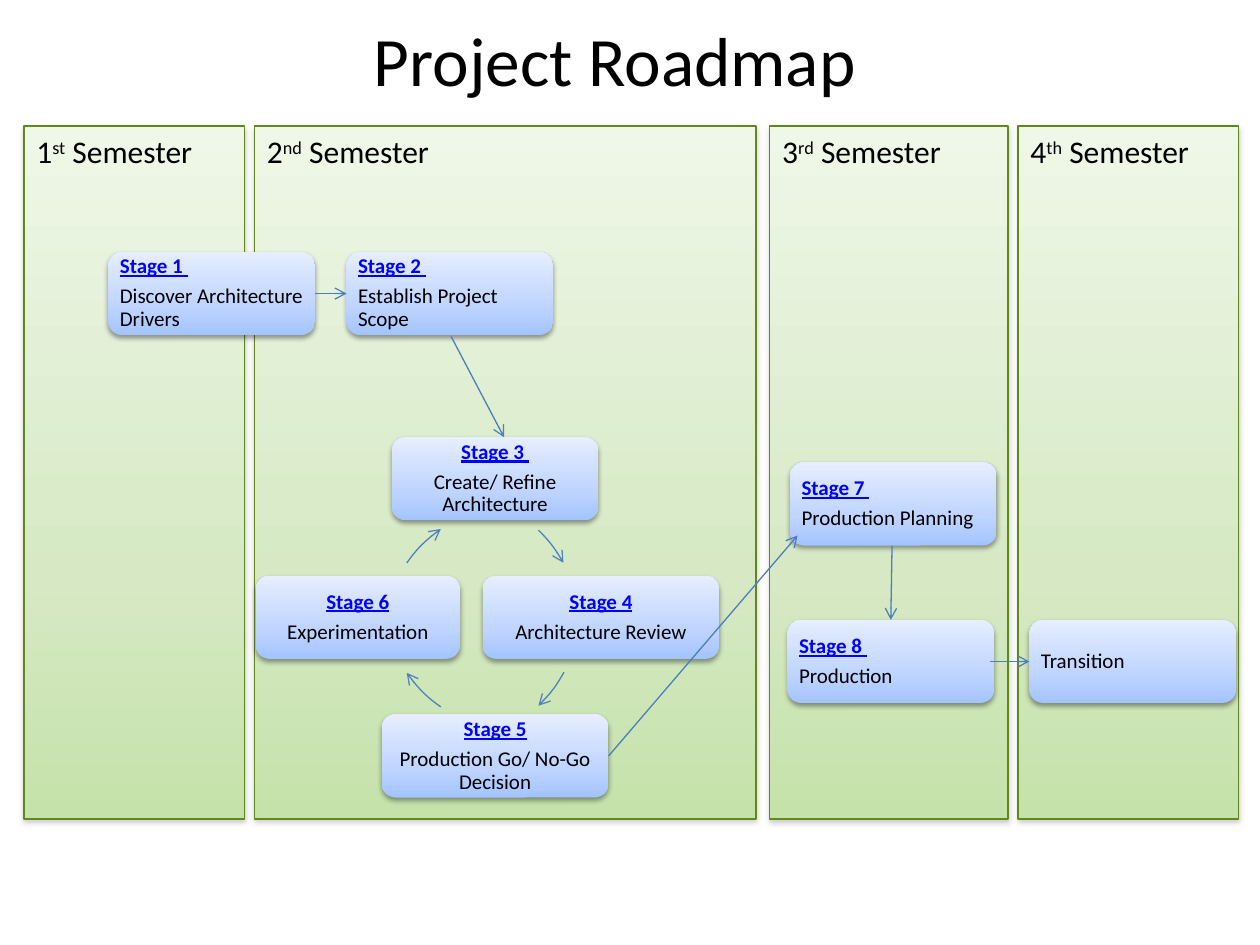
"""Builds the project roadmap slide: four semesters, their stages and the flow between them."""
from lxml.etree import SubElement
from pptx import Presentation
from pptx.dml.color import RGBColor
from pptx.enum.shapes import MSO_CONNECTOR, MSO_SHAPE
from pptx.enum.text import MSO_ANCHOR, PP_ALIGN
from pptx.oxml import parse_xml
from pptx.oxml.ns import nsdecls, qn
from pptx.util import Inches, Pt

COLORS = {
    "text": "000000", "stage_name": "0000FF", "panel_line": "61881B",
    "arrow": "4B7EBC", "cycle_arrow": "4F81BD",
}
PANEL_STOPS = [(0, "EFF7E8"), (65, "D6E9C4"), (100, "C5E2AA")]
STAGE_STOPS = [(0, "A4C4FF"), (35, "BFD4FF"), (100, "E6EEFF")]


def add_gradient_and_shadow(shape, stops, angle, shadow_color):
    stop_xml = "".join(
        f'<a:gs pos="{position * 1000}"><a:srgbClr val="{color}"/></a:gs>'
        for position, color in stops)
    properties = shape._element.spPr
    properties.insert(2, parse_xml(
        f'<a:gradFill {nsdecls("a")} rotWithShape="1"><a:gsLst>{stop_xml}</a:gsLst>'
        f'<a:lin ang="{angle * 60000}" scaled="0"/></a:gradFill>'))
    shape.shadow.inherit = False
    properties.find(qn("a:effectLst")).append(parse_xml(
        f'<a:outerShdw {nsdecls("a")} blurRad="{Pt(3.1)}" dist="{Pt(1.6)}" dir="5400000" '
        f'rotWithShape="0"><a:srgbClr val="{shadow_color}"><a:alpha val="38000"/>'
        '</a:srgbClr></a:outerShdw>'))


def style_arrow(arrow, color):
    arrow.line.color.rgb = RGBColor.from_string(COLORS[color])
    arrow.line.width = Pt(0.75)
    SubElement(arrow.line._get_or_add_ln(), qn("a:tailEnd"), type="arrow")


presentation = Presentation()
presentation.slide_width = Inches(10)
presentation.slide_height = Inches(7.5)
slide = presentation.slides.add_slide(presentation.slide_layouts[6])
shapes = slide.shapes

semesters = [
    (0.19, 1.75, "1", "st"),
    (2.02, 3.98, "2", "nd"),
    (6.11, 1.89, "3", "rd"),
    (8.08, 1.75, "4", "th"),
]
for left, width, number, suffix in semesters:
    panel = shapes.add_shape(
        MSO_SHAPE.RECTANGLE, Inches(left), Inches(1), Inches(width), Inches(5.5))
    panel.line.color.rgb = RGBColor.from_string(COLORS["panel_line"])
    panel.line.width = Pt(0.75)
    add_gradient_and_shadow(panel, PANEL_STOPS, 90, "808080")
    panel.text_frame.vertical_anchor = MSO_ANCHOR.TOP
    paragraph = panel.text_frame.paragraphs[0]
    paragraph.alignment = PP_ALIGN.LEFT
    paragraph.font.size = Pt(18)
    paragraph.font.name = "Calibri"
    paragraph.font.color.rgb = RGBColor.from_string(COLORS["text"])
    for text in (number, suffix, " Semester"):
        run = paragraph.add_run()
        run.text = text
        if text == suffix:
            run.font._element.set("baseline", "30000")

stages = [
    (0.86, 2, 1.64, "Stage 1 ", "Discover Architecture Drivers", PP_ALIGN.LEFT),
    (2.75, 2, 1.64, "Stage 2 ", "Establish Project Scope", PP_ALIGN.LEFT),
    (3.11, 3.47, 1.64, "Stage 3 ", "Create/ Refine Architecture", PP_ALIGN.CENTER),
    (3.83, 4.57, 1.88, "Stage 4", "Architecture Review", PP_ALIGN.CENTER),
    (3.03, 5.67, 1.8, "Stage 5", "Production Go/ No-Go Decision", PP_ALIGN.CENTER),
    (2.03, 4.57, 1.62, "Stage 6", "Experimentation", PP_ALIGN.CENTER),
    (6.27, 3.67, 1.64, "Stage 7 ", "Production Planning", PP_ALIGN.LEFT),
    (6.25, 4.92, 1.64, "Stage 8 ", "Production", PP_ALIGN.LEFT),
    (8.17, 4.92, 1.64, None, "Transition", PP_ALIGN.LEFT),
]
for left, top, width, name, task, alignment in stages:
    stage = shapes.add_shape(
        MSO_SHAPE.ROUNDED_RECTANGLE, Inches(left), Inches(top), Inches(width), Inches(0.66))
    stage.line.fill.background()
    add_gradient_and_shadow(stage, STAGE_STOPS, 270, "000000")
    frame = stage.text_frame
    frame.vertical_anchor = MSO_ANCHOR.MIDDLE
    frame.margin_left = frame.margin_right = Inches(0.06)
    frame.margin_top = frame.margin_bottom = Inches(0.05)
    frame.text = f"{name}\n{task}" if name else task
    for paragraph in frame.paragraphs:
        is_name = paragraph.text == name
        paragraph.alignment = alignment
        paragraph.line_spacing = 0.9
        paragraph.space_after = Pt(4.2)
        paragraph.font.size = Pt(12)
        paragraph.font.name = "Calibri"
        paragraph.font.bold = is_name
        paragraph.font.underline = is_name
        paragraph.font.color.rgb = RGBColor.from_string(
            COLORS["stage_name" if is_name else "text"])

cycle_arrows = [
    (2.41, 3.9, 314, 331),
    (2.41, 3.71, 28.5, 46),
    (3.03, 3.61, 125, 145),
    (3.03, 4, 215, 235),
]
for left, top, start, end in cycle_arrows:
    arc = shapes.add_shape(
        MSO_SHAPE.ARC, Inches(left), Inches(top), Inches(2.2), Inches(2.2))
    for index, degrees in enumerate((start, end)):
        arc.adjustments[index] = degrees * 0.6
    arc.fill.background()
    arc.shadow.inherit = False
    style_arrow(arc, "cycle_arrow")

flow_arrows = [
    (2.5, 2.33, 2.75, 2.33),
    (3.58, 2.67, 4, 3.47),
    (4.83, 6, 6.33, 4.25),
    (7.08, 4.33, 7.07, 4.92),
    (7.86, 5.25, 8.17, 5.25),
]
for points in flow_arrows:
    connector = shapes.add_connector(MSO_CONNECTOR.STRAIGHT, *map(Inches, points))
    style_arrow(connector, "arrow")
    SubElement(connector._element.spPr, qn("a:effectLst"))

title = shapes.add_textbox(Inches(0.23), Inches(0.25), Inches(9.3), Inches(0.43))
title.text_frame.word_wrap = True
title.text_frame.vertical_anchor = MSO_ANCHOR.MIDDLE
paragraph = title.text_frame.paragraphs[0]
paragraph.text = "Project Roadmap"
paragraph.alignment = PP_ALIGN.CENTER
paragraph.font.size = Pt(39.6)
paragraph.font.name = "Calibri"
paragraph.font.color.rgb = RGBColor.from_string(COLORS["text"])

presentation.save("out.pptx")
